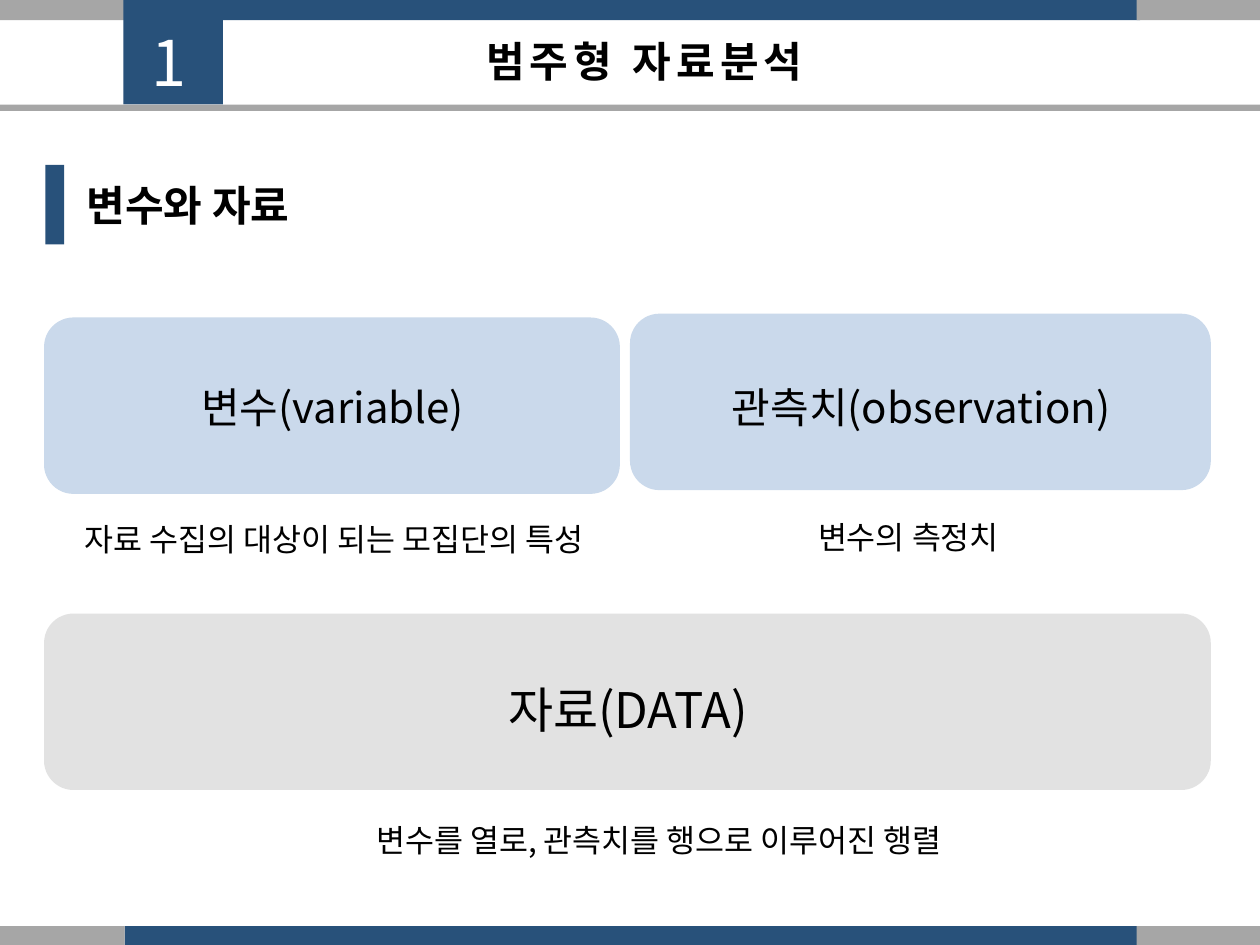
"""Build the slide on variables, observations and data."""
from lxml.etree import SubElement
from pptx import Presentation
from pptx.dml.color import RGBColor
from pptx.enum.shapes import MSO_SHAPE as SHAPE
from pptx.enum.text import MSO_ANCHOR as ANCHOR, PP_ALIGN as ALIGN
from pptx.oxml.ns import qn
from pptx.util import Inches, Pt

FONT = "Noto Sans CJK KR"
NAVY = RGBColor(0x28, 0x51, 0x7A)
GRAY = RGBColor(0xA6, 0xA6, 0xA6)
PALE_BLUE = RGBColor(0xCA, 0xD9, 0xEB)
PALE_GRAY = RGBColor(0xD9, 0xD9, 0xD9)
BLACK = RGBColor(0, 0, 0)
WHITE = RGBColor(0xFF, 0xFF, 0xFF)

BAND_TOPS = (0, 7.35)
BAND_PARTS = [(0.99, 8.06, NAVY), (0, 0.99, GRAY), (9.02, 0.98, GRAY)]

TITLE = ("범주형 자료분석", (3.03, 0.23, 4.17, 0.5))
NUMBER = ("1", (0.91, 0.14, 0.87, 0.71))
SECTION = ("변수와 자료", (0.59, 1.31, 3.7, 0.63))
HEADER_BARS = [
    ((0.98, 0, 0.79, 0.83), NAVY),
    ((0, 0.83, 10, 0.05), GRAY),
    ((0.36, 1.31, 0.15, 0.63), NAVY),
]
CARDS = [
    ((0.35, 2.52, 4.57, 1.4), PALE_BLUE, 100,
     "변수(variable)", 24, (0.9, 2.98, 3.48, 0.5),
     "자료 수집의 대상이 되는 모집단의 특성", (0.25, 4.08, 4.8, 0.4)),
    ((0.35, 4.87, 9.26, 1.4), PALE_GRAY, 75,
     "자료(DATA)", 28, (1.46, 5.34, 7.05, 0.57),
     "변수를 열로, 관측치를 행으로 이루어진 행렬", (2.2, 6.47, 6.06, 0.4)),
    ((5, 2.49, 4.61, 1.4), PALE_BLUE, 100,
     "관측치(observation)", 24, (5.7, 2.98, 3.22, 0.5),
     "변수의 측정치", (5.87, 4.06, 2.68, 0.4)),
]


def add_block(slide, box, color, kind=SHAPE.RECTANGLE, opacity=100):
    block = slide.shapes.add_shape(kind, *map(Inches, box))
    block.shadow.inherit = False
    block.line.fill.background()
    block.fill.solid()
    block.fill.fore_color.rgb = color
    if opacity < 100:
        rgb = block._element.spPr.find(f"{qn('a:solidFill')}/{qn('a:srgbClr')}")
        SubElement(rgb, qn("a:alpha"), val=str(opacity * 1000))


def write(holder, text, size, color=BLACK, bold=False, align=ALIGN.CENTER,
          anchor=ANCHOR.TOP, spacing=0):
    frame = holder.text_frame
    frame.word_wrap = True
    frame.vertical_anchor = anchor
    frame.text = text
    paragraph = frame.paragraphs[0]
    paragraph.alignment = align
    font = paragraph.font
    font.name, font.size, font.bold = FONT, Pt(size), bold
    font.color.rgb = color
    defaults = paragraph._p.pPr.find(qn("a:defRPr"))
    SubElement(defaults, qn("a:ea"), typeface=FONT)
    if spacing:
        defaults.set("spc", str(spacing * 100))


def add_text(slide, text, box, size, **style):
    write(slide.shapes.add_textbox(*map(Inches, box)), text, size, **style)


def main():
    deck = Presentation()
    deck.slide_width, deck.slide_height = Inches(10), Inches(7.5)
    slide = deck.slides.add_slide(deck.slide_layouts[5])

    for top in BAND_TOPS:
        for left, width, color in BAND_PARTS:
            add_block(slide, (left, top, width, 0.16), color)
    for box, color in HEADER_BARS:
        add_block(slide, box, color)

    heading, heading_box = TITLE
    title = slide.shapes.title
    title.left, title.top, title.width, title.height = map(Inches, heading_box)
    write(title, heading, 24, bold=True, spacing=3)
    add_text(slide, *NUMBER, 36, color=WHITE, spacing=3)
    add_text(slide, *SECTION, 24, bold=True, align=ALIGN.LEFT, anchor=ANCHOR.MIDDLE)

    for box, color, opacity, term, size, term_box, meaning, meaning_box in CARDS:
        add_block(slide, box, color, SHAPE.ROUNDED_RECTANGLE, opacity)
        add_text(slide, term, term_box, size)
        add_text(slide, meaning, meaning_box, 18)

    deck.save("out.pptx")


if __name__ == "__main__":
    main()
